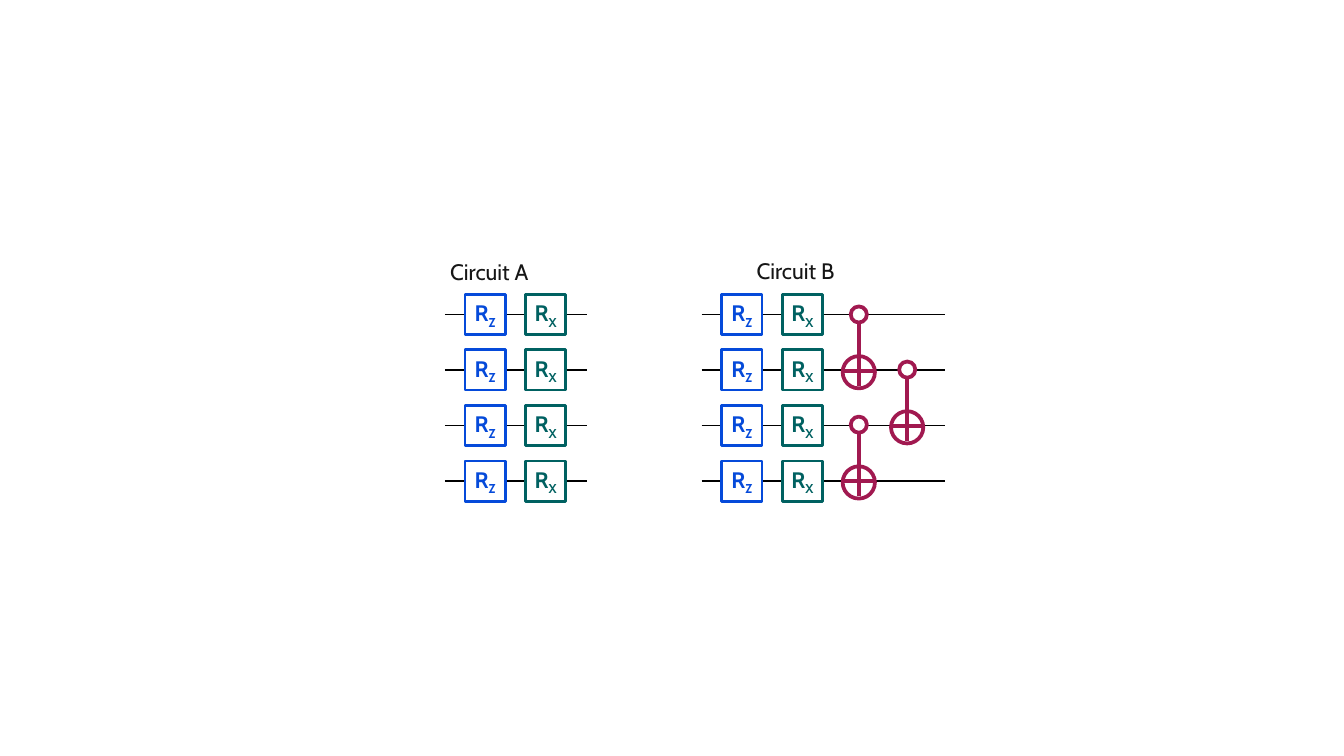
import pptx
import pptx.dml.color
import pptx.enum.shapes
import pptx.enum.text
import pptx.oxml.ns
import pptx.util
from lxml import etree

Inches = pptx.util.Inches
Pt = pptx.util.Pt
SHAPE = pptx.enum.shapes.MSO_SHAPE

FONT = "Cabin"
INK, WHITE = "161616", "FFFFFF"
WIRE, BLUE, GREEN, MAGENTA = "000000", "054ADA", "006161", "A11950"

WIRES = 4
WIRE_GAP = 1.24 / 3
GATE_SIZE = 0.3
GATES = [("Z", BLUE, 0.15), ("X", GREEN, 0.6)]

CONTROL_SIZE, TARGET_SIZE = 0.12, 0.24
CONTROL_ROW_GAP = 0.41


def rgb(color):
    return pptx.dml.color.RGBColor.from_string(color)


def add_line(page, start, end, color, width):
    line = page.shapes.add_connector(
        pptx.enum.shapes.MSO_CONNECTOR.STRAIGHT,
        *(Inches(value) for value in (*start, *end)))
    line.line.color.rgb = rgb(color)
    line.line.width = Pt(width)
    properties = line._element.spPr
    etree.SubElement(properties, pptx.oxml.ns.qn("a:effectLst"))


def add_outline(page, kind, left, top, size, color, width, fill=None):
    """Add a square-sized shape, hollow when no fill is given."""
    shape = page.shapes.add_shape(
        kind, Inches(left), Inches(top), Inches(size), Inches(size))
    shape.shadow.inherit = False
    if fill:
        shape.fill.solid()
        shape.fill.fore_color.rgb = rgb(fill)
    else:
        shape.fill.background()
    shape.line.color.rgb = rgb(color)
    shape.line.width = Pt(width)
    return shape


def clear_margins(frame):
    frame.margin_left = frame.margin_right = 0
    frame.margin_top = frame.margin_bottom = 0


def add_span(para, text, color, bold=False):
    span = para.add_run()
    span.text = text
    span.font.name = FONT
    span.font.size = Pt(12)
    span.font.bold = bold
    span.font.color.rgb = rgb(color)
    return span


def add_gate(page, left, top, axis, color):
    gate = add_outline(page, SHAPE.RECTANGLE, left, top, GATE_SIZE,
                       color, 1.5, WHITE)
    frame = gate.text_frame
    clear_margins(frame)
    frame.vertical_anchor = pptx.enum.text.MSO_ANCHOR.MIDDLE
    para = frame.paragraphs[0]
    para.alignment = pptx.enum.text.PP_ALIGN.CENTER
    add_span(para, "R", color, bold=True)
    subscript = add_span(para, axis, color, bold=True)
    subscript.font._element.set("baseline", "-25000")


def add_title(page, left, top, text):
    box = page.shapes.add_textbox(
        Inches(left), Inches(top), Inches(0.64), Inches(0.21))
    frame = box.text_frame
    clear_margins(frame)
    frame.word_wrap = False
    frame.auto_size = pptx.enum.text.MSO_AUTO_SIZE.SHAPE_TO_FIT_TEXT
    para = frame.paragraphs[0]
    para.line_spacing = 1.1
    add_span(para, text, INK)


def add_controlled_not(page, x, y):
    """Put the control centre at (x, y) and the target one wire below."""
    add_line(page, (x, y), (x, y + 0.53), MAGENTA, 2)
    add_outline(page, SHAPE.OVAL, x - CONTROL_SIZE / 2, y - CONTROL_SIZE / 2,
                CONTROL_SIZE, MAGENTA, 2, WHITE)
    radius = TARGET_SIZE / 2
    add_outline(page, SHAPE.OVAL, x - radius, y + 0.31, TARGET_SIZE,
                MAGENTA, 2)
    add_line(page, (x + radius, y + 0.42), (x - radius, y + 0.42), MAGENTA, 2)


def add_circuit(page, left, top, width, title, title_offset, links=()):
    """Draw wires from the first one at top; title_offset is (x, y),
    links are (row, x offset) of controlled NOTs."""
    for row in range(WIRES):
        y = top + row * WIRE_GAP
        add_line(page, (left, y), (left + width, y), WIRE, 1)
        for axis, color, offset in GATES:
            add_gate(page, left + offset, y - GATE_SIZE / 2, axis, color)
    for row, offset in links:
        add_controlled_not(page, left + offset, top + row * CONTROL_ROW_GAP)
    x_offset, y_offset = title_offset
    add_title(page, left + x_offset, top + y_offset, title)


def main():
    deck = pptx.Presentation()
    deck.slide_width = Inches(10)
    deck.slide_height = deck.slide_width * 9 // 16
    page = deck.slides.add_slide(deck.slide_layouts[6])
    page.background.fill.solid()
    page.background.fill.fore_color.rgb = rgb(WHITE)
    add_circuit(page, 3.31, 2.34, 1.06, "Circuit A", (0.04, -0.44))
    add_circuit(page, 5.22, 2.34, 1.81, "Circuit B", (0.41, -0.45),
                links=[(0, 1.17), (2, 1.17), (1, 1.53)])
    deck.save("out.pptx")


if __name__ == "__main__":
    main()
